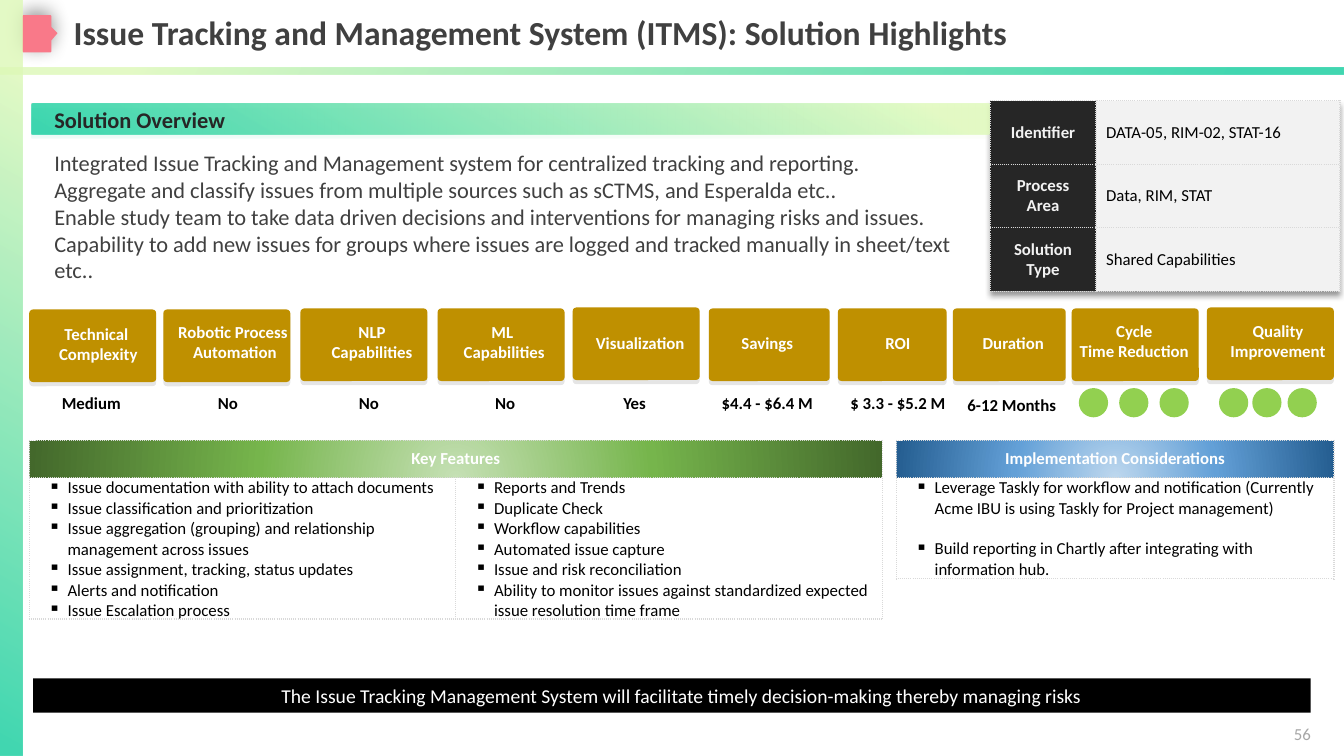
from lxml import etree
from pptx import Presentation
from pptx import util as u
from pptx.dml.color import RGBColor
from pptx.enum import shapes, text
from pptx.oxml import parse_xml
from pptx.oxml.ns import nsdecls, qn

LEFT, CENTER, RIGHT = text.PP_ALIGN.LEFT, text.PP_ALIGN.CENTER, text.PP_ALIGN.RIGHT
MIDDLE, TOP = text.MSO_ANCHOR.MIDDLE, text.MSO_ANCHOR.TOP
RECT, ROUND = shapes.MSO_SHAPE.RECTANGLE, shapes.MSO_SHAPE.ROUNDED_RECTANGLE
SOFT = ("000000", 10, 0, 3, 90)
LIME, TEAL = "DDF9B8", "14CE9F"

# Card left, top, width, title, title left, top, width
CARDS = [
    (0.29, 3.07, 1.26, "Technical \nComplexity", 0.48, 3.16, 0.99),
    (1.62, 3.07, 1.26, "Robotic Process \nAutomation", 1.66, 3.14, 1.34),
    (2.98, 3.06, 1.26, "NLP\nCapabilities", 3.18, 3.14, 1.02),
    (4.34, 3.06, 1.26, "ML \nCapabilities", 4.49, 3.14, 1.02),
    (5.68, 3.05, 1.26, "Visualization", 5.8, 3.25, 1.1),
    (7.03, 3.06, 1.2, "Savings", 7.25, 3.25, 0.72),
    (8.31, 3.06, 1.08, "ROI", 8.68, 3.25, 0.45),
    (9.45, 3.06, 1.12, "Duration", 9.64, 3.25, 0.82),
    (10.63, 3.06, 1.26, "Cycle\nTime Reduction", 10.6, 3.13, 1.3),
    (11.97, 3.05, 1.26, "Quality\nImprovement", 12.1, 3.13, 1.15),
]
# Value, left, top, width
VALUES = [
    ("Medium", 0.51, 3.85, 0.79), ("No", 2.06, 3.85, 0.4), ("No", 3.46, 3.85, 0.4),
    ("No", 4.81, 3.85, 0.4), ("Yes", 6.08, 3.85, 0.43), ("$4.4 - $6.4 M", 6.92, 3.85, 1.38),
    ("$ 3.3 - $5.2 M", 7.88, 3.85, 2.05), ("6-12 Months", 9.49, 3.87, 1.09),
]
RATING_DOTS = [10.7, 11.1, 11.5, 12.09, 12.42, 12.77]
OVERVIEW = """Integrated Issue Tracking and Management system for centralized tracking and reporting.
Aggregate and classify issues from multiple sources such as sCTMS, and Esperalda etc..
Enable study team to take data driven decisions and interventions for managing risks and issues.
Capability to add new issues for groups where issues are logged and tracked manually in sheet/text etc.."""
FACTS = [("Identifier", "DATA-05, RIM-02, STAT-16"), ("Process Area", "Data, RIM, STAT"),
         ("Solution Type", "Shared Capabilities")]
FEATURES = ["""Issue documentation with ability to attach documents
Issue classification and prioritization
Issue aggregation (grouping) and relationship management across issues
Issue assignment, tracking, status updates
Alerts and notification
Issue Escalation process""", """Reports and Trends
Duplicate Check
Workflow capabilities
Automated issue capture
Issue and risk reconciliation
Ability to monitor issues against standardized expected issue resolution time frame"""]
CONSIDERATIONS = ["""Leverage Taskly for workflow and notification (Currently Acme IBU is using Taskly for Project management)
Build reporting in Chartly after integrating with information hub."""]


def color(value):
    return RGBColor.from_string(value)


def inches(*values):
    return [u.Inches(value) for value in values]


def gradient(stops, direction, alpha=100):
    marks = "".join(
        f'<a:gs pos="{pos * 1000}"><a:srgbClr val="{value}"><a:alpha val="{alpha * 1000}"/></a:srgbClr></a:gs>'
        for pos, value in stops)
    return parse_xml(f'<a:gradFill {nsdecls("a")} rotWithShape="1"><a:gsLst>{marks}</a:gsLst>{direction}</a:gradFill>')


def shadow_effect(value, alpha, blur, distance, angle):
    return parse_xml(
        f'<a:effectLst {nsdecls("a")}><a:outerShdw blurRad="{u.Pt(blur)}" dist="{u.Pt(distance)}" '
        f'dir="{angle * 60000}" algn="ctr" rotWithShape="0"><a:srgbClr val="{value}">'
        f'<a:alpha val="{alpha * 1000}"/></a:srgbClr></a:outerShdw></a:effectLst>')


def finish(shape, fill=None, shadow=None):
    """Flat shape without outline; optional solid fill and shadow."""
    shape.line.fill.background()
    shape.shadow.inherit = False
    if fill:
        shape.fill.solid()
        shape.fill.fore_color.rgb = color(fill)
    if shadow:
        effects = shape._element.spPr.find(qn("a:effectLst"))
        effects.getparent().replace(effects, shadow_effect(*shadow))
    return shape


def add_block(page, kind, at, fill=None, shadow=None):
    shape = page.shapes.add_shape(kind, *inches(*at))
    if kind == ROUND:
        shape.adjustments[0] = 0.052
    return finish(shape, fill, shadow)


def add_gradient_block(page, kind, at, stops, angle, shadow=None):
    shape = add_block(page, kind, at, shadow=shadow)
    shape._element.spPr.insert(2, gradient(stops, f'<a:lin ang="{angle * 60000}" scaled="0"/>', 80))


def write(frame, words, size, ink, bold=False, align=LEFT, bullet=False, gap=0):
    """One paragraph for each line of words."""
    for index, line in enumerate(words.split("\n")):
        para = frame.add_paragraph() if index else frame.paragraphs[0]
        para.alignment = align
        if index and gap:
            para.space_before = u.Pt(gap)
        if bullet:
            props = para._p.get_or_add_pPr()
            props.set("marL", str(u.Inches(0.38)))
            props.set("indent", str(u.Inches(-0.19)))
            etree.SubElement(props, qn("a:buChar")).set("char", "▪")
        span = para.add_run()
        span.text = line
        for name, value in {"name": "Calibri", "size": u.Pt(size), "bold": bold}.items():
            setattr(span.font, name, value)
        span.font.color.rgb = color(ink)


def add_text(page, at, words, size, ink, wrap=True, **style):
    box = page.shapes.add_textbox(*inches(*at))
    box.text_frame.word_wrap = wrap
    write(box.text_frame, words, size, ink, **style)
    return box.text_frame


def add_grid(page, at, widths, heights):
    table = page.shapes.add_table(len(heights), len(widths), *inches(*at)).table
    table.first_row = table.horz_banding = False
    for column, width in zip(table.columns, widths):
        column.width = u.Inches(width)
    for row, height in zip(table.rows, heights):
        row.height = u.Inches(height)
    return table


def fill_cell(cell, words, ink, fill, anchor=MIDDLE, inset=None, **style):
    props = cell._tc.get_or_add_tcPr()
    for side in "LRTB":
        props.append(parse_xml(
            f'<a:ln{side} {nsdecls("a")} w="12700"><a:solidFill><a:srgbClr val="D9D9D9"/></a:solidFill>'
            f'<a:prstDash val="sysDot"/></a:ln{side}>'))
    if isinstance(fill, str):
        cell.fill.solid()
        cell.fill.fore_color.rgb = color(fill)
    else:
        props.append(gradient(
            fill, '<a:path path="circle"><a:fillToRect l="50000" t="130000" r="50000" b="-30000"/></a:path>'))
    cell.vertical_anchor = anchor
    if inset is not None:
        for side in ("left", "right", "top", "bottom"):
            setattr(cell, f"margin_{side}", u.Inches(inset))
    write(cell.text_frame, words, 12, ink, **style)


def add_list_table(page, at, heading, tones, lists, anchor=MIDDLE, gap=0):
    width, height = at[2:]
    table = add_grid(page, at, [width / len(lists)] * len(lists), [0.37, height - 0.37])
    if len(lists) > 1:
        table.cell(0, 0).merge(table.cell(0, len(lists) - 1))
    fill_cell(table.cell(0, 0), heading, "FFFFFF", list(zip((0, 46, 100), tones)),
              inset=0, bold=True, align=CENTER)
    for index, words in enumerate(lists):
        fill_cell(table.cell(1, index), words, "000000", "FFFFFF", anchor, 0, bullet=True, gap=gap)


def add_facts(page):
    table = add_grid(page, (9.82, 1, 3.47, 1.9), [1.05, 2.42], [0.63] * 3)
    table._tbl.tblPr.insert(0, shadow_effect("000000", 40, 4, 3, 90))
    for row, (label, fact) in enumerate(FACTS):
        fill_cell(table.cell(row, 0), label, "F2F2F2", "262626", bold=True, align=CENTER)
        fill_cell(table.cell(row, 1), fact, "000000", "F2F2F2")


def add_marker(page):
    outline = [(0.57, 0.33), (0.51, 0.4), (0.51, 0.51), (0.5, 0.52), (0.23, 0.52), (0.22, 0.51),
               (0.22, 0.16), (0.23, 0.15), (0.5, 0.15), (0.51, 0.16), (0.51, 0.27)]
    points = [inches(*point) for point in outline]
    builder = page.shapes.build_freeform(*points[0])
    builder.add_line_segments(points[1:], close=True)
    finish(builder.convert_to_shape(), "F97989", ("000000", 40, 13, 3, 270))


def main():
    deck = Presentation()
    deck.slide_width, deck.slide_height = inches(13.33, 7.5)
    page = deck.slides.add_slide(deck.slide_layouts[6])

    # Frame, title and page number
    add_marker(page)
    add_gradient_block(page, RECT, (0, 0, 0.22, 7.5), [(10, LIME), (98, TEAL)], 120)
    add_gradient_block(page, RECT, (0, 0.67, 13.33, 0.07), [(10, LIME), (92, TEAL)], 30)
    title = add_text(page, (0.73, 0.16, 10.88, 0.37),
                     "Issue Tracking and Management System (ITMS): Solution Highlights", 24, "404040", bold=True)
    for name in ("margin_left", "margin_right", "margin_top", "margin_bottom"):
        setattr(title, name, 0)
    title.vertical_anchor = MIDDLE
    title.paragraphs[0].line_spacing = 0.9
    add_text(page, (10.1, 7.13, 3, 0.4), "56", 12, "A6A6A6", align=RIGHT)

    # Overview
    add_facts(page)
    add_text(page, (0.44, 1.43, 9.18, 1.45), OVERVIEW, 16, "404040")
    add_gradient_block(page, ROUND, (0.31, 1.03, 9.5, 0.3), [(7, LIME), (98, TEAL)], 120, SOFT)
    add_text(page, (0.44, 1, 1.92, 0.37), "Solution Overview", 16, "262626", wrap=False, bold=True)

    # Metric cards, values and rating dots
    for left, top, width, name, name_left, name_top, name_width in CARDS:
        add_block(page, ROUND, (left, top, width, 0.72), "BF9000", SOFT)
        height = 0.5 if "\n" in name else 0.3
        add_text(page, (name_left, name_top, name_width, height), name, 12, "FFFFFF",
                 wrap=False, bold=True, align=CENTER)
    for value, left, top, width in VALUES:
        add_text(page, (left, top, width, 0.3), value, 12, "000000", wrap=False, bold=True, align=CENTER)
    for left in RATING_DOTS:
        add_block(page, shapes.MSO_SHAPE.OVAL, (left, 3.85, 0.29, 0.29), "92D050")

    # Feature lists and closing banner
    add_list_table(page, (0.29, 4.37, 8.46, 1.77), "Key Features", ("C5E0B4", "76B54C", "43682B"), FEATURES)
    add_list_table(page, (8.89, 4.37, 4.34, 1.37), "Implementation Considerations",
                   ("BDD7EE", "63A0D7", "255E91"), CONSIDERATIONS, TOP, 14.4)
    banner = add_block(page, RECT, (0.33, 6.73, 12.67, 0.34), "000000").text_frame
    banner.margin_left = u.Inches(0.29)
    write(banner, "The Issue Tracking Management System will facilitate timely decision-making thereby managing risks",
          14, "FFFFFF", align=CENTER)
    deck.save("out.pptx")


if __name__ == "__main__":
    main()
